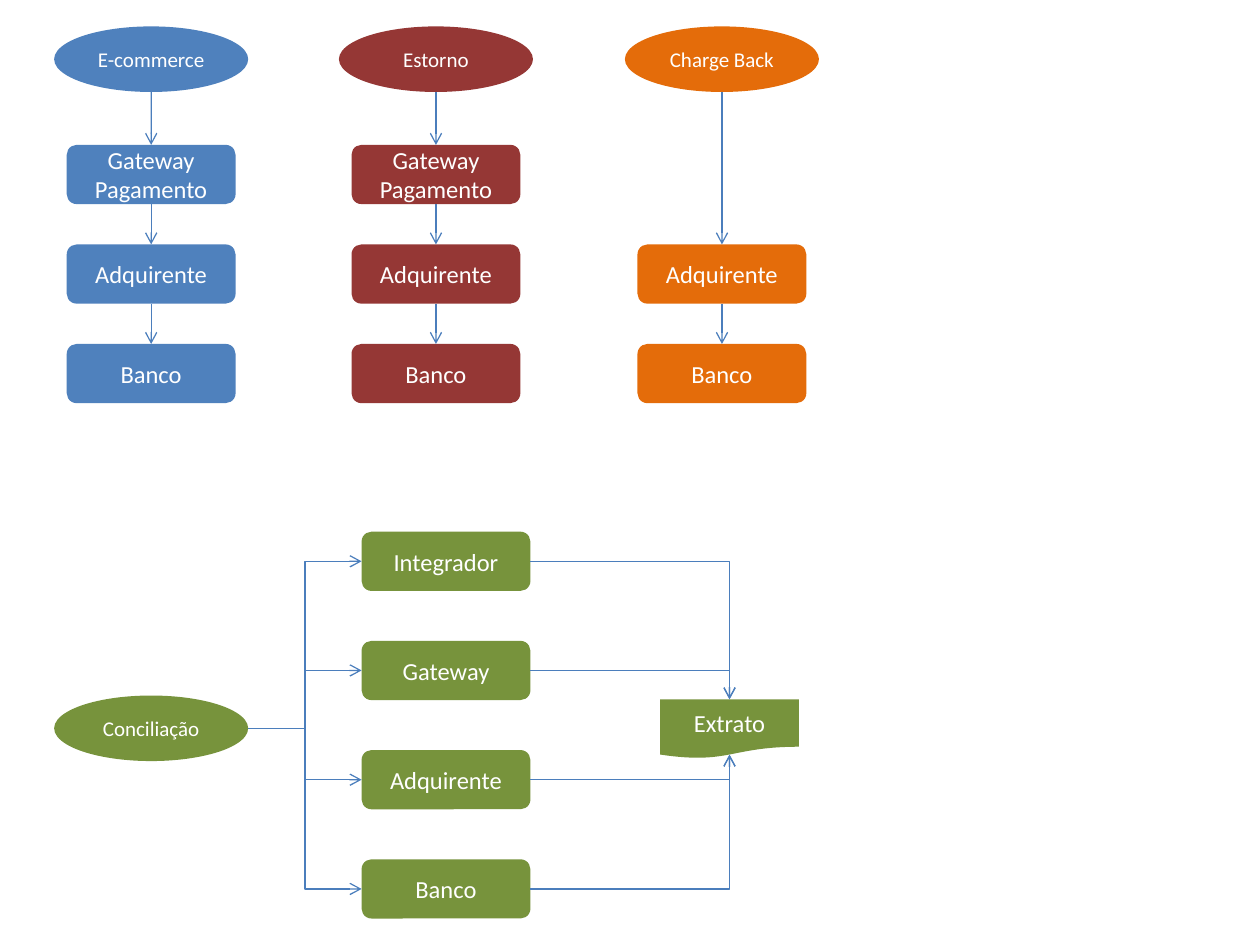
from dataclasses import dataclass

from lxml.etree import SubElement
from pptx import Presentation
from pptx.dml.color import RGBColor
from pptx.enum.shapes import MSO_CONNECTOR, MSO_SHAPE
from pptx.enum.text import MSO_ANCHOR, PP_ALIGN
from pptx.oxml.ns import qn
from pptx.util import Inches, Pt


@dataclass(frozen=True)
class Theme:
    """Colours, font and sizes of the flow diagrams."""

    font: str = "Calibri"
    text: str = "FFFFFF"
    line: str = "4B7EBC"
    purchase: str = "4F81BD"
    refund: str = "953735"
    charge_back: str = "E46C0A"
    reconciliation: str = "77933C"
    start_size: float = 12
    step_size: float = 14
    line_width: float = 0.75


THEME = Theme()
START_WIDTH, START_HEIGHT = 1.54, 0.52
STEP_WIDTH, STEP_HEIGHT = 1.34, 0.47


def add_node(page, kind, frame, label, color, size):
    """Add a filled shape with a centred label."""
    box = page.shapes.add_shape(kind, *map(Inches, frame))
    box.shadow.inherit = False
    box.fill.solid()
    box.fill.fore_color.rgb = RGBColor.from_string(color)
    box.line.fill.background()
    box.text_frame.word_wrap = True
    box.text_frame.vertical_anchor = MSO_ANCHOR.MIDDLE
    para = box.text_frame.paragraphs[0]
    para.alignment = PP_ALIGN.CENTER
    span = para.add_run()
    span.text = label
    span.font.name = THEME.font
    span.font.size = Pt(size)
    span.font.color.rgb = RGBColor.from_string(THEME.text)
    return box


def add_start(page, center, top, label, color):
    """Add the ellipse that opens a flow."""
    frame = (center - START_WIDTH / 2, top, START_WIDTH, START_HEIGHT)
    return add_node(page, MSO_SHAPE.OVAL, frame, label, color, THEME.start_size)


def add_step(page, left, top, label, color):
    """Add a rounded box for one step of a flow."""
    frame = (left, top, STEP_WIDTH, STEP_HEIGHT)
    return add_node(page, MSO_SHAPE.ROUNDED_RECTANGLE, frame, label, color, THEME.step_size)


def add_arrow(page, kind, start, end):
    """Add a connector with an open arrowhead at its end."""
    arrow = page.shapes.add_connector(kind, *map(Inches, (*start, *end)))
    arrow.line.color.rgb = RGBColor.from_string(THEME.line)
    arrow.line.width = Pt(THEME.line_width)
    SubElement(arrow.line._get_or_add_ln(), qn("a:tailEnd"), type="arrow")
    SubElement(arrow._element.spPr, qn("a:effectLst"))
    return arrow


def add_corner_arrow(page, start, end):
    """Add an arrow that runs across and then turns once."""
    arrow = add_arrow(page, MSO_CONNECTOR.ELBOW, start, end)
    arrow._element.spPr.find(qn("a:prstGeom")).set("prst", "bentConnector2")


def add_vertical_flow(page, center, title, color, steps):
    """Add a column of steps joined by downward arrows."""
    first_top, pitch, start_top = 1.15, 0.79, 0.21
    add_start(page, center, start_top, title, color)
    previous, bottom = None, start_top + START_HEIGHT
    for row, label in steps:
        top = first_top + row * pitch
        box = add_step(page, center - STEP_WIDTH / 2, top, label, color)
        arrow = add_arrow(page, MSO_CONNECTOR.STRAIGHT, (center, bottom), (center, top))
        if previous:
            arrow.begin_connect(previous, 2)
        arrow.end_connect(box, 0)
        previous, bottom = box, top + STEP_HEIGHT


def add_reconciliation_flow(page):
    """Add the start that fans out to four sources, which meet in a statement."""
    color = THEME.reconciliation
    center, start_top, step_left = 1.2, 5.52, 2.87
    first_top, pitch = 4.22, 2.6 / 3
    statement = (5.24, 5.55, 1.1, STEP_HEIGHT)
    statement_center, statement_top, statement_bottom = 5.79, 5.55, 5.99
    start = (center + START_WIDTH / 2, start_top + START_HEIGHT / 2)

    add_start(page, center, start_top, "Conciliação", color)
    add_node(page, MSO_SHAPE.FLOWCHART_DOCUMENT, statement, "Extrato", color, THEME.step_size)
    for row, label in enumerate(("Integrador", "Gateway", "Adquirente", "Banco")):
        top = first_top + row * pitch
        middle = top + STEP_HEIGHT / 2
        target = statement_top if middle < statement_top else statement_bottom
        add_step(page, step_left, top, label, color)
        add_arrow(page, MSO_CONNECTOR.ELBOW, start, (step_left, middle))
        add_corner_arrow(page, (step_left + STEP_WIDTH, middle), (statement_center, target))


def main():
    """Build the slide and save the deck."""
    deck = Presentation()
    deck.slide_width, deck.slide_height = Inches(10), Inches(7.5)
    page = deck.slides.add_slide(deck.slide_layouts[6])
    steps = tuple(enumerate(("Gateway Pagamento", "Adquirente", "Banco")))
    add_vertical_flow(page, 1.2, "E-commerce", THEME.purchase, steps)
    add_vertical_flow(page, 3.46, "Estorno", THEME.refund, steps)
    add_vertical_flow(page, 5.73, "Charge Back", THEME.charge_back, steps[1:])
    add_reconciliation_flow(page)
    deck.save("out.pptx")


if __name__ == "__main__":
    main()
